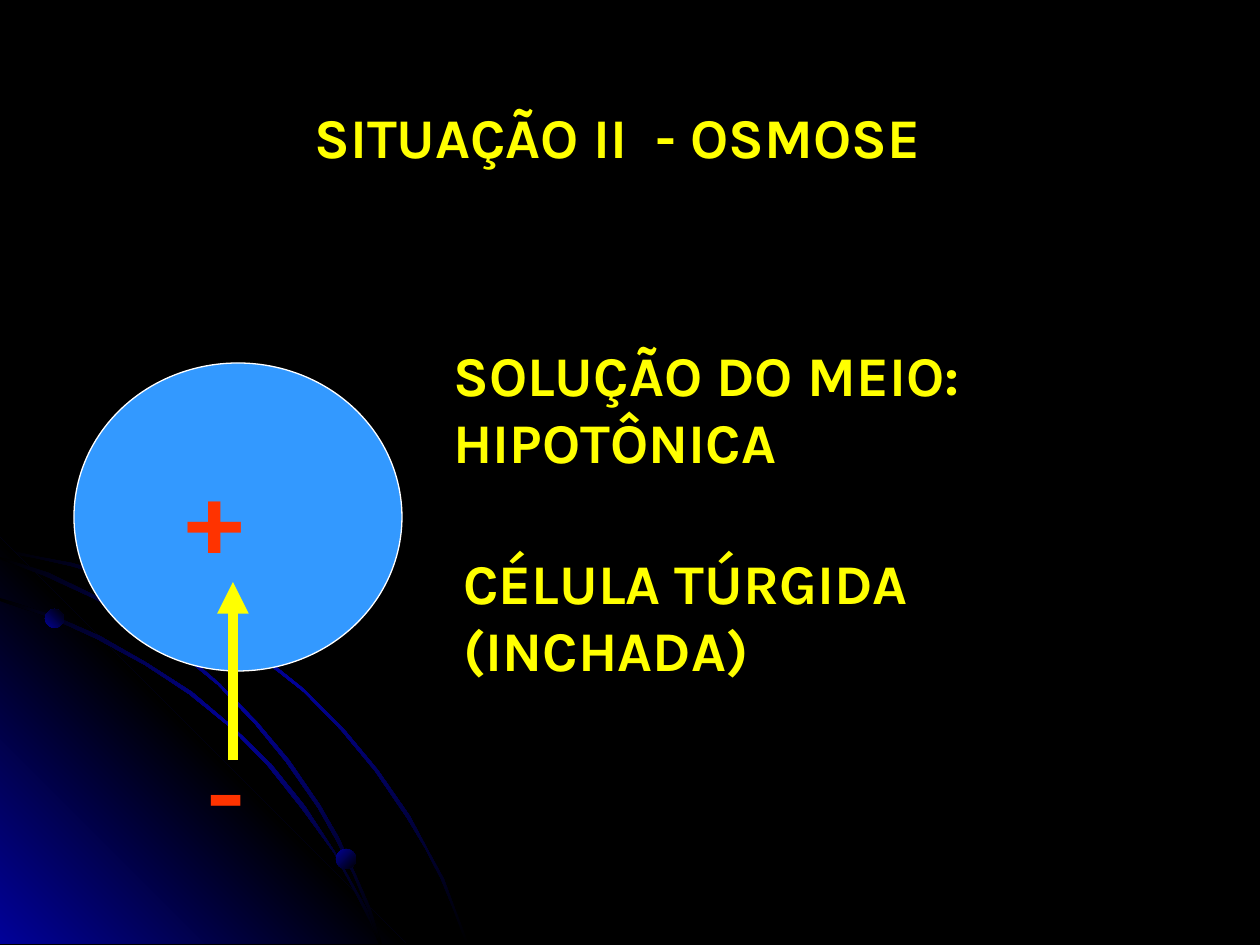
from copy import deepcopy

from lxml import etree
from pptx import Presentation
from pptx.dml.color import RGBColor
from pptx.enum.shapes import MSO_CONNECTOR, MSO_SHAPE
from pptx.enum.text import MSO_AUTO_SIZE
from pptx.oxml.ns import qn
from pptx.util import Pt

PX = 914400 / 126
ELLIPSE = MSO_SHAPE.OVAL
STRAIGHT = MSO_CONNECTOR.STRAIGHT
FIT_SHAPE = MSO_AUTO_SIZE.SHAPE_TO_FIT_TEXT

BLACK = RGBColor(0, 0, 0)
WHITE = RGBColor(255, 255, 255)
NAVY = RGBColor(0x01, 0x01, 0x99)
SKY = RGBColor(0x33, 0x99, 0xFF)
YELLOW = RGBColor(255, 255, 0)
RED = RGBColor(0xFF, 0x33, 0x00)
FONT = "Karla"

# Outlines of the corner decoration, relative to its box
OUTER_ARC = [
    (72, 25), (35, 18), (0, 10), (0, 14), (35, 20), (71, 28), (122, 43),
    (170, 64), (218, 91), (262, 121), (304, 154), (341, 192), (375, 233),
    (407, 280), (425, 310), (441, 341), (454, 373), (466, 406), (469, 406),
    (456, 373), (444, 341), (427, 310), (410, 278), (378, 232), (343, 190),
    (305, 152), (263, 118), (219, 88), (171, 63), (123, 40),
]
GLOW = [(406, 406), (0, 406), (0, 0)]
INNER_ARC = [
    (359, 362), (370, 384), (379, 406), (382, 406), (373, 382), (360, 359),
    (335, 314), (305, 268), (271, 226), (232, 188), (192, 154), (147, 125),
    (100, 98), (52, 77), (0, 60), (0, 63), (49, 79), (97, 101), (145, 127),
    (189, 156), (231, 190), (268, 228), (302, 271), (334, 315),
]
MIDDLE_ARC = [
    (0, 19), (0, 21), (45, 38), (93, 60), (137, 84), (179, 115), (218, 147),
    (255, 186), (286, 224), (318, 270), (336, 302), (353, 336), (368, 372),
    (379, 406), (382, 406), (370, 369), (355, 335), (339, 300), (320, 267),
    (289, 222), (257, 184), (220, 146), (181, 112), (140, 83), (96, 58),
    (49, 35),
]


def emu(*lengths):
    return [round(length * PX) for length in lengths]


def paint_gradient(shape, colours, angle):
    """Spread colours evenly; angle runs counter-clockwise."""
    shape.shadow.inherit = False
    shape.line.fill.background()
    shape.fill.gradient()
    shape.fill.gradient_angle = angle
    first = shape._element.spPr.find(".//" + qn("a:gs"))
    for _ in colours[2:]:
        first.addnext(deepcopy(first))
    for index, (stop, colour) in enumerate(zip(shape.fill.gradient_stops, colours)):
        stop.position = index / (len(colours) - 1)
        stop.color.rgb = colour


def add_corner(page, left, top):
    """Glowing corner with three arcs and two dots."""
    arc_colours = (BLACK, NAVY, BLACK)
    outlines = [
        (OUTER_ARC, arc_colours, 315),
        (GLOW, (NAVY, BLACK, NAVY), 45),
        (INNER_ARC, arc_colours, 315),
        (MIDDLE_ARC, arc_colours, 315),
    ]
    for points, colours, angle in outlines:
        builder = page.shapes.build_freeform(*points[0], scale=PX)
        builder.add_line_segments(points[1:], close=True)
        paint_gradient(builder.convert_to_shape(*emu(left, top)), colours, angle)

    for x, y, size, angle in [(45, 71, 19, 45), (336, 311, 20, 315)]:
        dot = page.shapes.add_shape(ELLIPSE, *emu(left + x, top + y, size, size))
        paint_gradient(dot, (NAVY, BLACK), angle)


def add_text(page, text, left, top, width, height, size=32, colour=YELLOW, wrap=True):
    box = page.shapes.add_textbox(*emu(left, top, width, height))
    frame = box.text_frame
    frame.word_wrap = wrap
    frame.auto_size = FIT_SHAPE
    span = frame.paragraphs[0].add_run()
    span.text = text
    span.font.name = FONT
    span.font.size = Pt(size)
    span.font.bold = True
    span.font.color.rgb = colour


def add_arrow(page, x, start, end):
    arrow = page.shapes.add_connector(STRAIGHT, *emu(x, start, x, end))
    arrow.line.color.rgb = YELLOW
    arrow.line.width = Pt(6)
    etree.SubElement(arrow.line._get_or_add_ln(), qn("a:tailEnd"), type="triangle")
    etree.SubElement(arrow._element.spPr, qn("a:effectLst"))


def add_cell(page, left, top):
    """Cell with its concentration signs and the inflow arrow."""
    cell = page.shapes.add_shape(ELLIPSE, *emu(left, top, 328, 308))
    cell.shadow.inherit = False
    cell.fill.solid()
    cell.fill.fore_color.rgb = SKY
    cell.line.color.rgb = WHITE
    cell.line.width = Pt(0.75)
    for sign, x, y in [("+", 100, 79), ("-", 120, 358)]:
        add_text(page, sign, left + x, top + y, 118, 139, 60, RED)
    add_arrow(page, left + 159, top + 397, top + 219)


def add_notes(page, left, top):
    """Descriptions beside the cell."""
    add_text(page, "SOLUÇÃO DO MEIO: HIPOTÔNICA", left, top, 751, 214)
    add_text(page, "CÉLULA TÚRGIDA (INCHADA)", left + 10, top + 208, 675, 249)


def main():
    deck = Presentation()
    deck.slide_width, deck.slide_height = emu(1260, 945)
    page = deck.slides.add_slide(deck.slide_layouts[6])
    page.background.fill.solid()
    page.background.fill.fore_color.rgb = BLACK

    add_corner(page, 0, 538)
    add_cell(page, 74, 363)
    add_notes(page, 441, 334)
    add_text(page, "SITUAÇÃO II  - OSMOSE", 302, 96, 665, 81, wrap=False)
    deck.save("out.pptx")


if __name__ == "__main__":
    main()
